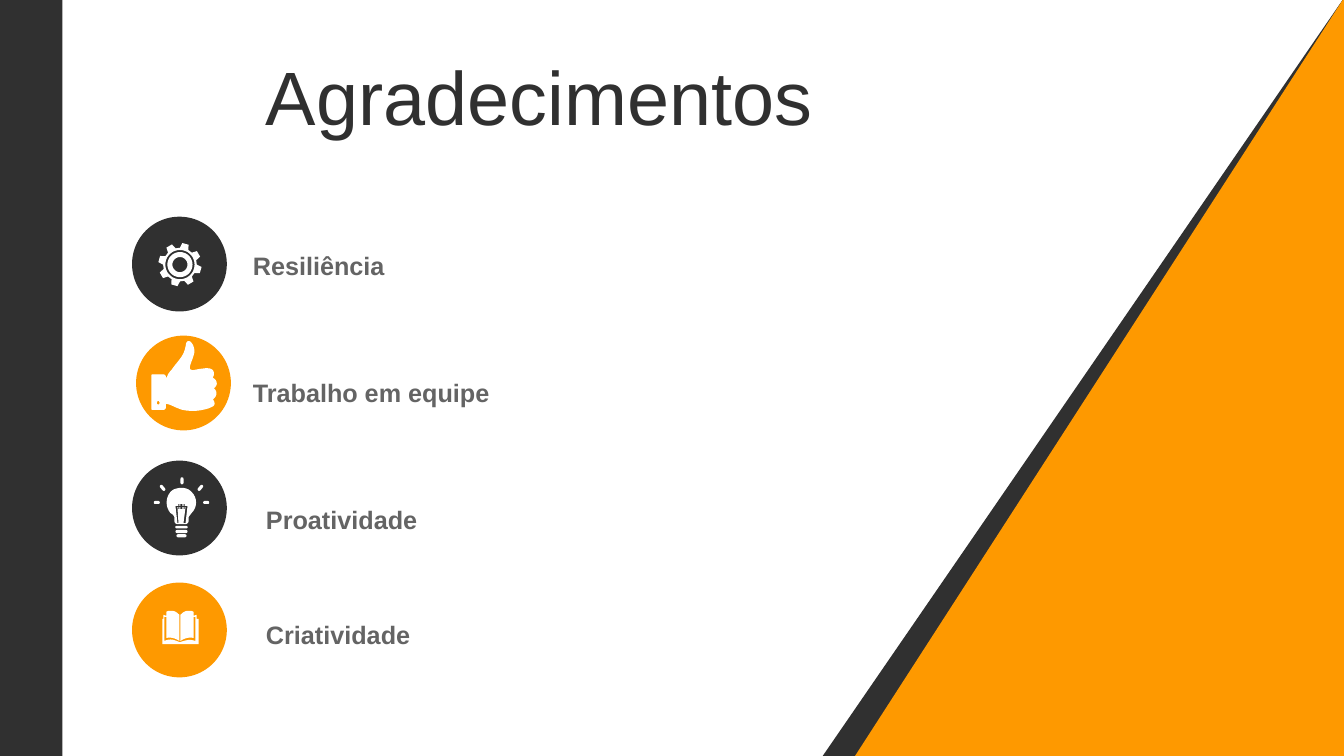
import math

import pptx
import pptx.dml.color
import pptx.enum.shapes
import pptx.enum.text
import pptx.util

# Content
WIDTH, HEIGHT = 13.33, 7.5
DARK, ORANGE, WHITE, GRAY = "303030", "FE9900", "FFFFFF", "646464"
TITLE = "Agradecimentos"
ICON_COLUMN, LABEL_COLUMN, TITLE_COLUMN = 1.31, 2.41, 2.54
CIRCLE, LABEL_WIDTH, LABEL_HEIGHT = 0.94, 6.33, 0.4

# Label, label left, label top, circle left, circle top, circle colour
VALUES = [
    ("Resiliência", LABEL_COLUMN, 2.43, ICON_COLUMN, 2.15, DARK),
    ("Trabalho em equipe", LABEL_COLUMN, 3.69, ICON_COLUMN + 0.04, 3.33, ORANGE),
    ("Proatividade", TITLE_COLUMN, 4.95, ICON_COLUMN, 4.57, DARK),
    ("Criatividade", TITLE_COLUMN, 6.09, ICON_COLUMN, 5.78, ORANGE),
]

# Icon outlines: M starts a contour, L draws lines, C draws Bézier curves
THUMB = """
M 1.57 3.97 C 1.56 3.97 1.55 3.98 1.55 4 1.55 4.01 1.56 4.02 1.57 4.02
1.58 4.02 1.59 4.01 1.59 4 1.59 3.98 1.58 3.97 1.57 3.97
M 1.87 3.39 C 1.89 3.39 1.91 3.42 1.92 3.46 1.94 3.54 1.82 3.67 1.91 3.68
1.97 3.67 2 3.66 2.06 3.66 2.12 3.66 2.13 3.71 2.1 3.75
2.14 3.76 2.17 3.82 2.11 3.85 2.17 3.89 2.13 3.95 2.1 3.96
2.13 3.99 2.13 4.02 2.1 4.03 2.03 4.07 1.85 4.09 1.76 4.04
1.71 4.02 1.68 4 1.64 4 L 1.64 4.04 C 1.64 4.05 1.63 4.06 1.62 4.06
L 1.51 4.06 1.51 3.72 1.62 3.72 C 1.63 3.72 1.64 3.73 1.64 3.74
L 1.64 3.75 1.66 3.75 C 1.67 3.72 1.68 3.7 1.71 3.67
1.76 3.59 1.83 3.55 1.85 3.43 1.85 3.41 1.86 3.39 1.87 3.39"""
BOOK = """
M 1.78 6.37 L 1.79 6.37 C 1.85 6.35 1.88 6.34 1.94 6.36
L 1.94 6.12 1.92 6.12 1.92 6.33 C 1.88 6.32 1.83 6.33 1.79 6.36
L 1.79 6.1 C 1.82 6.07 1.84 6.06 1.87 6.06 1.89 6.06 1.9 6.06 1.92 6.07
L 1.92 6.11 1.95 6.1 1.95 6.14 1.97 6.14 1.97 6.39 1.61 6.39
1.61 6.14 1.62 6.14 1.62 6.1 1.65 6.11 1.65 6.07
C 1.67 6.06 1.68 6.06 1.7 6.06 1.73 6.06 1.75 6.07 1.78 6.1
L 1.78 6.36 C 1.74 6.33 1.69 6.32 1.65 6.33 L 1.65 6.12 1.63 6.12 1.63 6.36
C 1.69 6.33 1.73 6.35 1.78 6.37"""
BULB = """
M 1.8 4.84 C 1.84 4.84 1.87 4.85 1.9 4.88 1.96 4.94 1.96 5.03 1.9 5.09
L 1.87 5.13 1.87 5.17 C 1.87 5.18 1.86 5.2 1.84 5.2
L 1.76 5.2 C 1.74 5.2 1.73 5.18 1.73 5.17 L 1.73 5.13
C 1.72 5.11 1.71 5.1 1.69 5.09 1.64 5.03 1.64 4.94 1.69 4.88
1.72 4.85 1.76 4.84 1.8 4.84
M 1.74 5.02 L 1.77 5.02 1.77 5 1.78 5 1.78 5.02 1.79 5.02 1.79 5 1.81 5
1.81 5.02 1.82 5.02 1.82 5 1.83 5 1.83 5.02 1.86 5.02
1.84 5.19 1.82 5.19 1.84 5.03 1.83 5.03 1.83 5.05 1.82 5.05 1.82 5.03
1.81 5.03 1.81 5.05 1.79 5.05 1.79 5.03 1.78 5.03 1.78 5.05 1.77 5.05
1.77 5.03 1.76 5.03 1.77 5.19 1.76 5.19"""
# Rays and screw threads: start, end, half thickness
BULB_BARS = [
    (1.54, 4.985, 1.57, 4.985, 0.015), (2.03, 4.985, 2.06, 4.985, 0.015),
    (1.6, 4.825, 1.625, 4.855, 0.015), (2, 4.825, 1.975, 4.855, 0.015),
    (1.805, 4.75, 1.805, 4.79, 0.015),
    (1.75, 5.23, 1.85, 5.23, 0.012), (1.755, 5.273, 1.845, 5.273, 0.015),
    (1.765, 5.315, 1.835, 5.315, 0.015),
]
GEAR_CENTER, GEAR_TEETH, GEAR_TURN = (1.785, 2.625), 8, -75
GEAR_RINGS = (0.145, 0.125, 0.075)

presentation = pptx.Presentation()
presentation.slide_width = pptx.util.Inches(WIDTH)
presentation.slide_height = pptx.util.Inches(HEIGHT)
slide = presentation.slides.add_slide(presentation.slide_layouts[6])


def color(value):
    return pptx.dml.color.RGBColor.from_string(value)


def paint(shape, fill, line=None):
    shape.shadow.inherit = False
    shape.fill.solid()
    shape.fill.fore_color.rgb = color(fill)
    if line:
        shape.line.color.rgb = color(line)
        shape.line.width = pptx.util.Pt(1)
    else:
        shape.line.fill.background()


def add_preset(name, left, top, width, height, fill):
    kind = getattr(pptx.enum.shapes.MSO_SHAPE, name)
    paint(slide.shapes.add_shape(kind, *map(pptx.util.Inches, (left, top, width, height))), fill)


def add_outline(contours, fill, line=None):
    scaled = [[(x * 1000, y * 1000) for x, y in contour] for contour in contours]
    builder = slide.shapes.build_freeform(*scaled[0][0], scale=914.4)
    for index, contour in enumerate(scaled):
        if index:
            builder.move_to(*contour[0])
        builder.add_line_segments(contour[1:], close=True)
    paint(builder.convert_to_shape(), fill, line)


def add_text(text, left, top, width, height, size, text_color, bold=False,
             grow=False, line_spacing=None, space_before=0):
    shape = slide.shapes.add_textbox(*map(pptx.util.Inches, (left, top, width, height)))
    frame = shape.text_frame
    frame.word_wrap = True
    frame.vertical_anchor = pptx.enum.text.MSO_ANCHOR.MIDDLE
    if grow:
        frame.auto_size = pptx.enum.text.MSO_AUTO_SIZE.SHAPE_TO_FIT_TEXT
    paragraph = frame.paragraphs[0]
    paragraph.line_spacing = line_spacing
    paragraph.space_before = pptx.util.Pt(space_before)
    run = paragraph.add_run()
    run.text = text
    run.font.name = "Arial"
    run.font.size = pptx.util.Pt(size)
    run.font.bold = bold
    run.font.color.rgb = color(text_color)


def trace(outline, steps=8):
    """Turn an outline string into contours of points."""
    contours, command, numbers = [], "", []
    for token in outline.split():
        if token in "MLC":
            command = token
            continue
        numbers.append(float(token))
        if len(numbers) < (6 if command == "C" else 2):
            continue
        if command == "M":
            contours.append([tuple(numbers)])
        elif command == "L":
            contours[-1].append(tuple(numbers))
        else:
            corners = [contours[-1][-1], *zip(numbers[::2], numbers[1::2])]
            for step in range(1, steps + 1):
                t = step / steps
                weights = [math.comb(3, k) * t**k * (1 - t)**(3 - k) for k in range(4)]
                contours[-1].append(tuple(
                    sum(w * corner[axis] for w, corner in zip(weights, corners))
                    for axis in (0, 1)))
        numbers = []
    return contours


def polar(center, radius, degrees):
    angle = math.radians(degrees)
    return center[0] + radius * math.cos(angle), center[1] + radius * math.sin(angle)


def rounded_bar(x1, y1, x2, y2, radius):
    turn = math.degrees(math.atan2(y2 - y1, x2 - x1))
    return [polar(center, radius, turn + start + step)
            for center, start in (((x1, y1), 90), ((x2, y2), -90))
            for step in range(0, 181, 30)]


def gear():
    teeth = [polar(GEAR_CENTER, radius, GEAR_TURN + tooth * 360 / GEAR_TEETH + offset)
             for tooth in range(GEAR_TEETH)
             for radius, offset in ((0.167, -15), (0.215, -8.5), (0.215, 8.5), (0.167, 15))]
    rings = [[polar(GEAR_CENTER, radius, angle) for angle in range(0, 360, 10)]
             for radius in GEAR_RINGS]
    return [teeth, *rings]


# Side bar and corner triangles
add_preset("RECTANGLE", 0, 0, 0.62, HEIGHT, DARK)
for base_left, fill in ((8.16, DARK), (8.48, ORANGE)):
    add_outline([[(WIDTH, -0.02), (WIDTH, HEIGHT), (base_left, HEIGHT)]], fill)

# Title
add_text(TITLE, TITLE_COLUMN, 0.61, 10.47, 0.79, 54, DARK, line_spacing=0.9, space_before=10)

# Values with their circles
for label, label_left, label_top, circle_left, circle_top, fill in VALUES:
    add_preset("OVAL", circle_left, circle_top, CIRCLE, CIRCLE, fill)
    add_text(label, label_left, label_top, LABEL_WIDTH, LABEL_HEIGHT, 18, GRAY,
             bold=True, grow=True)

# Icons
add_outline(gear(), WHITE)
add_outline(trace(THUMB), WHITE, line=WHITE)
add_outline(trace(BULB) + [rounded_bar(*bar) for bar in BULB_BARS], WHITE)
add_outline(trace(BOOK), WHITE)

presentation.save("out.pptx")
